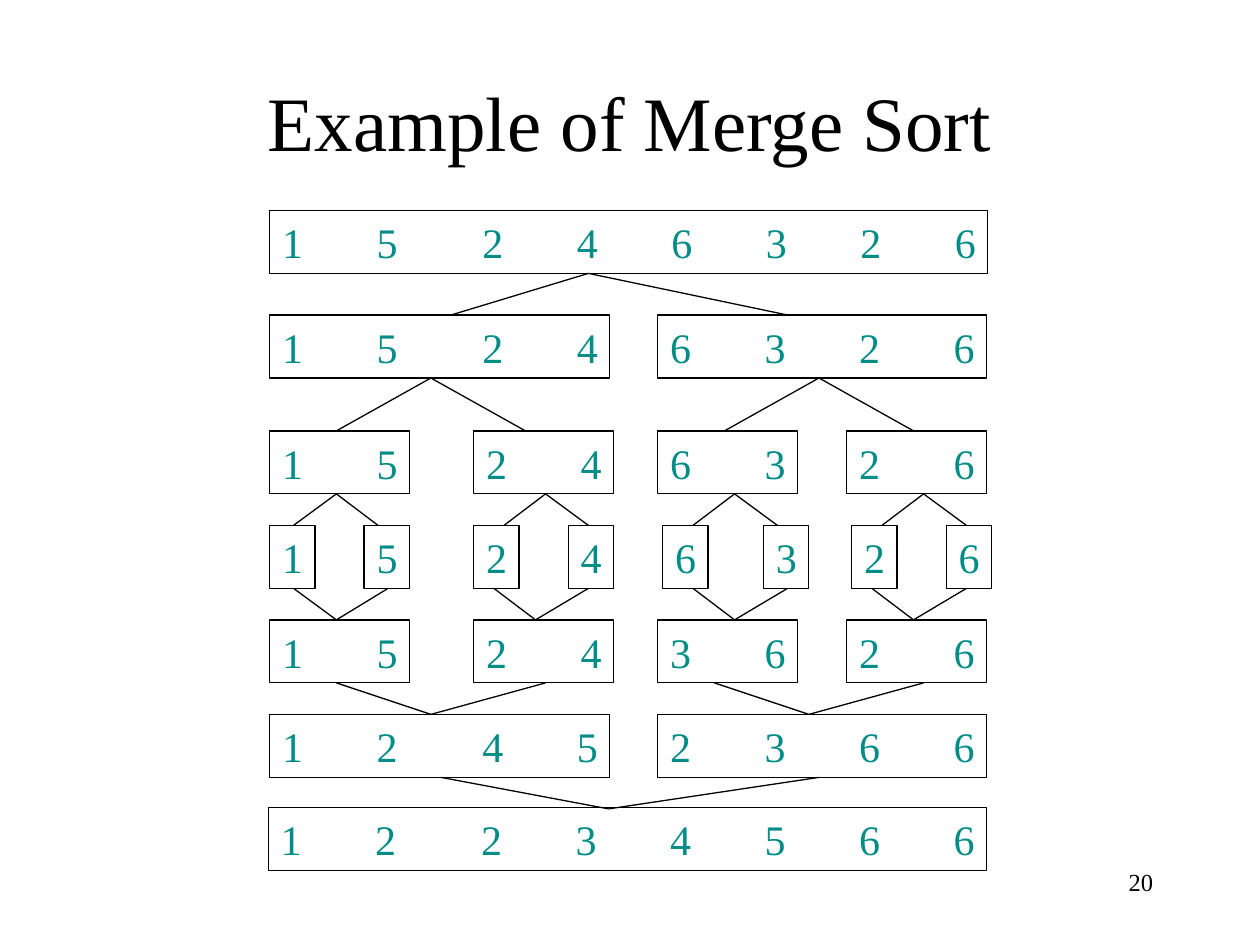
"""Build a slide that traces merge sort from splitting to merging."""
from dataclasses import dataclass

from lxml import etree
from pptx import Presentation
from pptx.dml.color import RGBColor
from pptx.enum import shapes, text
from pptx.oxml import ns
from pptx.util import Inches, Pt

BLACK = RGBColor(0, 0, 0)
TEAL = RGBColor(0x00, 0x8C, 0x87)
FACE = "Times New Roman"
CELL, STEP, EXTRA, HIGH = 0.36, 0.75, 0.09, 0.5


@dataclass(frozen=True)
class Box:
    left: float
    top: float
    keys: str
    extra: float = 0

    def stops(self) -> list[float]:
        return [STEP * i + (self.extra if i > 1 else 0)
                for i in range(1, len(self.keys))]


@dataclass(frozen=True)
class Fork:
    tip: float
    ends: tuple[float, float]


@dataclass(frozen=True)
class Level:
    top: float
    low: float
    forks: tuple[Fork, ...]
    merge: bool = False


HALVES, PAIRS = (2.14, 5.22), (2.14, 3.76, 5.22, 6.72)
ONES = (2.14, 2.89, 3.76, 4.51, 5.26, 6.06, 6.76, 7.51)


def row(top: float, lefts: tuple[float, ...], keys: str) -> list[Box]:
    return [Box(left, top, word, EXTRA if left < 2.2 and len(word) > 2 else 0)
            for left, word in zip(lefts, keys.split())]


BOXES = [
    *row(1.67, (2.14,), "15246326"),
    *row(2.5, HALVES, "1524 6326"),
    *row(3.42, PAIRS, "15 24 63 26"),
    *row(4.17, ONES, "1 5 2 4 6 3 2 6"),
    *row(4.92, PAIRS, "15 24 36 26"),
    *row(5.67, HALVES, "1245 2366"),
    *row(6.41, (2.13,), "12234566"),
]

LEVELS = [
    Level(2.17, 2.5, (Fork(4.67, (3.58, 6.25)),)),
    Level(3, 3.42, (Fork(3.42, (2.67, 4.17)), Fork(6.5, (5.75, 7.25)))),
    Level(3.92, 4.17, (Fork(2.67, (2.33, 3)), Fork(4.33, (4, 4.67)),
                       Fork(5.83, (5.5, 6.17)), Fork(7.33, (7, 7.67)))),
    Level(4.67, 4.92, (Fork(2.67, (2.33, 3.08)), Fork(4.25, (3.92, 4.67)),
                       Fork(5.83, (5.5, 6.25)), Fork(7.25, (6.92, 7.67))), True),
    Level(5.42, 5.67, (Fork(3.42, (2.67, 4.33)), Fork(6.42, (5.67, 7.33))), True),
    Level(6.17, 6.42, (Fork(4.83, (3.5, 6.5)),), True),
]


def write(para, words: str, size: int, color: RGBColor, align) -> None:
    para.alignment = align
    run = para.add_run()
    run.text = words
    run.font.name, run.font.size = FACE, Pt(size)
    run.font.color.rgb = color


def set_tabs(para, stops: list[float]) -> None:
    tabs = etree.SubElement(para._p.get_or_add_pPr(), ns.qn("a:tabLst"))
    for stop in stops:
        etree.SubElement(tabs, ns.qn("a:tab"), pos=str(Inches(stop)), algn="l")


def draw_box(slide, box: Box) -> None:
    wide = CELL + STEP * (len(box.keys) - 1) + box.extra
    shape = slide.shapes.add_shape(
        shapes.MSO_SHAPE.RECTANGLE, Inches(box.left), Inches(box.top),
        Inches(wide), Inches(HIGH))
    shape.shadow.inherit = False
    shape.fill.background()
    shape.line.color.rgb, shape.line.width = BLACK, Pt(0.75)
    frame = shape.text_frame
    frame.word_wrap = True
    frame.margin_right = Inches(0.05)
    frame.vertical_anchor = text.MSO_ANCHOR.TOP
    para = frame.paragraphs[0]
    if len(box.keys) > 1:
        set_tabs(para, box.stops())
    write(para, "\t".join(box.keys), 24, TEAL, text.PP_ALIGN.LEFT)


def draw_line(slide, start: tuple[float, float], end: tuple[float, float]) -> None:
    line = slide.shapes.add_connector(
        shapes.MSO_CONNECTOR.STRAIGHT, *map(Inches, start + end))
    line.line.color.rgb, line.line.width = BLACK, Pt(0.75)
    etree.SubElement(line._element.spPr, ns.qn("a:effectLst"))


def draw_level(slide, level: Level) -> None:
    for fork in level.forks:
        for end in fork.ends:
            head, foot = (end, fork.tip) if level.merge else (fork.tip, end)
            draw_line(slide, (head, level.top), (foot, level.low))


def main() -> None:
    deck = Presentation()
    deck.slide_width, deck.slide_height = Inches(10), Inches(7.5)
    slide = deck.slides.add_slide(deck.slide_layouts[5])
    title = slide.shapes.title
    title.left, title.top = Inches(0.75), Inches(0.33)
    title.width, title.height = Inches(8.5), Inches(1.25)
    title.text_frame.vertical_anchor = text.MSO_ANCHOR.MIDDLE
    write(title.text_frame.paragraphs[0], "Example of Merge Sort", 44, BLACK,
          text.PP_ALIGN.CENTER)
    for box in BOXES:
        draw_box(slide, box)
    for level in LEVELS:
        draw_level(slide, level)
    page = slide.shapes.add_textbox(
        Inches(7.17), Inches(6.83), Inches(2.08), Inches(0.5))
    page.text_frame.word_wrap = True
    write(page.text_frame.paragraphs[0], "20", 14, BLACK, text.PP_ALIGN.RIGHT)
    deck.save("out.pptx")


if __name__ == "__main__":
    main()
